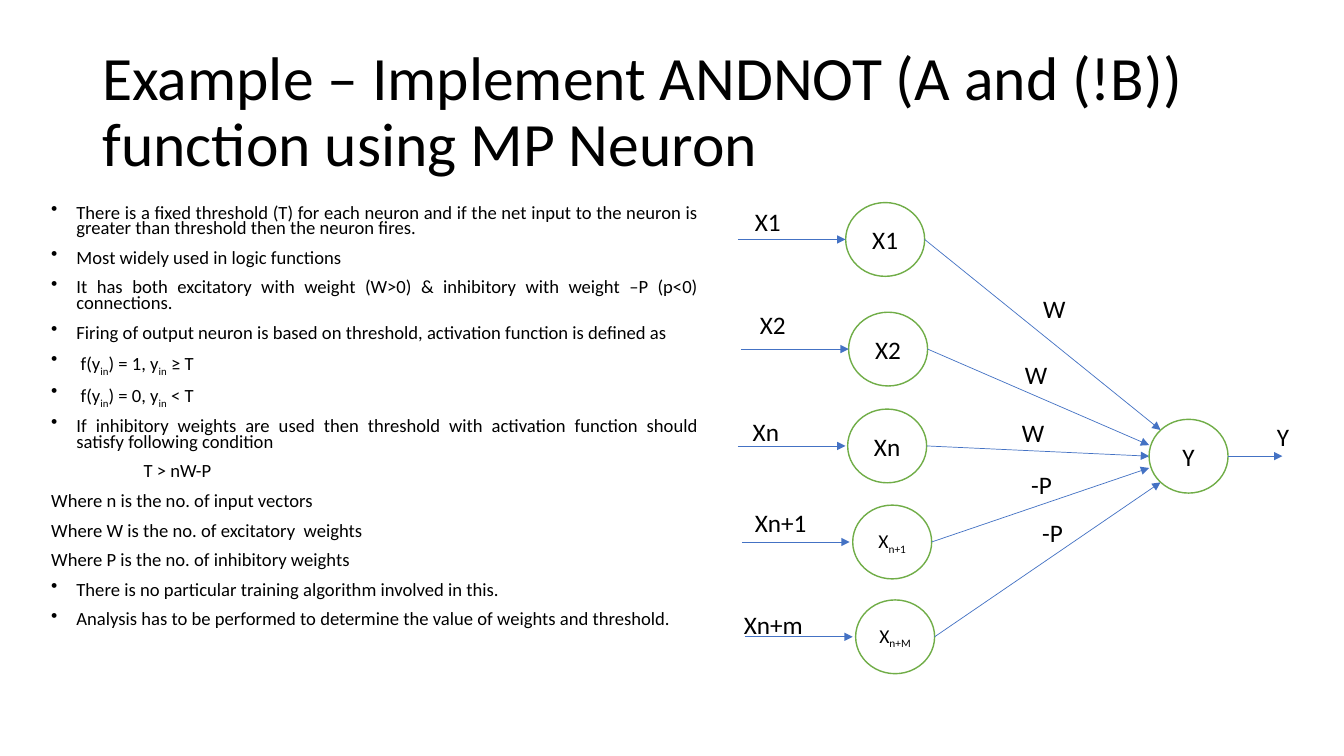
from dataclasses import dataclass
from typing import NamedTuple

from lxml.etree import SubElement
from pptx import Presentation
from pptx.dml.color import RGBColor
from pptx.enum.shapes import MSO_CONNECTOR, MSO_SHAPE
from pptx.enum.text import MSO_ANCHOR, PP_ALIGN
from pptx.oxml.ns import qn
from pptx.util import Pt


@dataclass(frozen=True)
class Theme:
    """Colours, font and type sizes of the slide."""
    font: str = "Calibri"
    text: RGBColor = RGBColor(0, 0, 0)
    fill: RGBColor = RGBColor(255, 255, 255)
    ring: RGBColor = RGBColor(0x70, 0xAD, 0x47)
    arrow: RGBColor = RGBColor(0x44, 0x72, 0xC4)
    title: float = 44
    body: float = 13.3
    label: float = 18
    small: float = 14


class Line(NamedTuple):
    """A body paragraph; text between underscores is subscript."""
    text: str
    bullet: bool = True
    indent: float = 18


class Neuron(NamedTuple):
    """An input neuron, its incoming arrow and label, and its weight."""
    name: str
    size: float
    x: float
    y: float
    arrow_x: float
    label: str
    label_at: tuple[float, float, float]
    weight: str
    weight_at: tuple[float, float]
    target: tuple[float, float]  # offset from the centre of Y, in radii


T = Theme()
NODE_W, NODE_H = 56.4, 52.7
ARROW_LEN, LABEL_W, LABEL_H = 77, 37.4, 29
Y_AT = (820.8, 299.5)
DIAGONAL = 0.71

LINES = [
    Line("There is a fixed threshold (T) for each neuron and if the net input to the "
         "neuron is greater than threshold then the neuron fires."),
    Line("Most widely used in logic functions"),
    Line("It has both excitatory with weight (W>0) & inhibitory with weight –P (p<0) "
         "connections."),
    Line("Firing of output neuron is based on threshold, activation function is defined as"),
    Line("f(y_in_) = 1, y_in_ ≥ T", indent=21),
    Line("f(y_in_) = 0, y_in_ < T", indent=21),
    Line("If inhibitory weights are used then threshold with activation function should "
         "satisfy following condition"),
    Line("T > nW-P", False, 66),
    Line("Where n is the no. of input vectors", False, 0),
    Line("Where W is the no. of excitatory  weights", False, 0),
    Line("Where P is the no. of inhibitory weights", False, 0),
    Line("There is no particular training algorithm involved in this."),
    Line("Analysis has to be performed to determine the value of weights and threshold."),
]

NEURONS = [
    Neuron("X1", T.label, 604.1, 144.7, 527, "X1", (532.1, 144, LABEL_W),
           "W", (738, 206), (-DIAGONAL, -DIAGONAL)),
    Neuron("X2", T.label, 606.2, 223, 529.2, "X2", (535.7, 217.4, LABEL_W),
           "W", (725, 253.4), (-1, -0.3)),
    Neuron("Xn", T.label, 605.5, 292.2, 527, "Xn", (530.6, 293.8, LABEL_W),
           "W", (722.9, 294.5), (-1, 0)),
    Neuron("X_n+1_", T.small, 609.1, 360.8, 529.9, "Xn+1", (532.1, 358.6, 56.2),
           "-P", (729.4, 332), (-1, 0.32)),
    Neuron("X_n+M_", T.small, 611.2, 428.5, 532.1, "Xn+m", (524.2, 432, 64),
           "-P", (737.3, 365.8), (-DIAGONAL, DIAGONAL)),
]


def write(p, text: str, size: float) -> None:
    """Fill a paragraph, lowering the parts between underscores."""
    for i, part in enumerate(text.split("_")):
        if not part:
            continue
        r = p.add_run()
        r.text = part
        r.font.name, r.font.size = T.font, Pt(size)
        r.font.color.rgb = T.text
        if i % 2:
            r.font._element.set("baseline", "-25000")


def text_box(s, x: float, y: float, w: float, h: float):
    """Add a wrapping text box and return its text frame."""
    tf = s.shapes.add_textbox(Pt(x), Pt(y), Pt(w), Pt(h)).text_frame
    tf.word_wrap = True
    return tf


def label(s, text: str, x: float, y: float, w: float = LABEL_W) -> None:
    """Add a diagram label."""
    write(text_box(s, x, y, w, LABEL_H).paragraphs[0], text, T.label)


def node(s, text: str, size: float, x: float, y: float) -> None:
    """Draw a neuron as a ringed ellipse with centred text."""
    sp = s.shapes.add_shape(MSO_SHAPE.OVAL, Pt(x), Pt(y), Pt(NODE_W), Pt(NODE_H))
    sp.shadow.inherit = False
    sp.fill.solid()
    sp.fill.fore_color.rgb = T.fill
    sp.line.color.rgb = T.ring
    sp.line.width = Pt(1)
    tf = sp.text_frame
    tf.vertical_anchor = MSO_ANCHOR.MIDDLE
    tf.paragraphs[0].alignment = PP_ALIGN.CENTER
    write(tf.paragraphs[0], text, size)


def arrow(s, x1: float, y1: float, x2: float, y2: float) -> None:
    """Draw a thin arrow from the first point to the second."""
    c = s.shapes.add_connector(MSO_CONNECTOR.STRAIGHT, Pt(x1), Pt(y1), Pt(x2), Pt(y2))
    c.line.color.rgb = T.arrow
    c.line.width = Pt(0.5)
    SubElement(c.line._get_or_add_ln(), qn("a:tailEnd"), type="triangle")
    SubElement(c._element.spPr, qn("a:effectLst"))


def body(s) -> None:
    """Write the explanation on the left."""
    tf = text_box(s, 29.5, 144, 476.6, 342.7)
    for i, line in enumerate(LINES):
        p = tf.add_paragraph() if i else tf.paragraphs[0]
        p.alignment = PP_ALIGN.JUSTIFY
        p.line_spacing = 0.7
        p.space_before = Pt(10)
        pPr = p._p.get_or_add_pPr()
        pPr.set("marL", str(Pt(line.indent)))
        if line.bullet:
            pPr.set("indent", str(-Pt(line.indent)))
            SubElement(pPr, qn("a:buChar"), char="•")
        write(p, line.text, T.body)


def network(s) -> None:
    """Draw the neurons with their arrows and labels."""
    half_w, half_h = NODE_W / 2, NODE_H / 2
    cx, cy = Y_AT[0] + half_w, Y_AT[1] + half_h
    for n in NEURONS:
        mid = n.y + half_h
        dx, dy = n.target
        node(s, n.name, n.size, n.x, n.y)
        arrow(s, n.arrow_x, mid, n.arrow_x + ARROW_LEN, mid)
        arrow(s, n.x + NODE_W, mid, cx + dx * half_w, cy + dy * half_h)
        label(s, n.label, *n.label_at)
        label(s, n.weight, *n.weight_at)
    node(s, "Y", T.label, *Y_AT)
    arrow(s, cx + half_w, cy, 916, cy)
    label(s, "Y", 905, 297.4)


def main() -> None:
    """Build and save the slide."""
    prs = Presentation()
    prs.slide_width, prs.slide_height = Pt(960), Pt(540)
    s = prs.slides.add_slide(prs.slide_layouts[6])
    title = text_box(s, 66, 28.8, 828, 104.4)
    title.vertical_anchor = MSO_ANCHOR.MIDDLE
    title.paragraphs[0].line_spacing = 0.9
    write(title.paragraphs[0],
          "Example – Implement ANDNOT (A and (!B)) function using MP Neuron", T.title)
    body(s)
    network(s)
    prs.save("out.pptx")


main()
